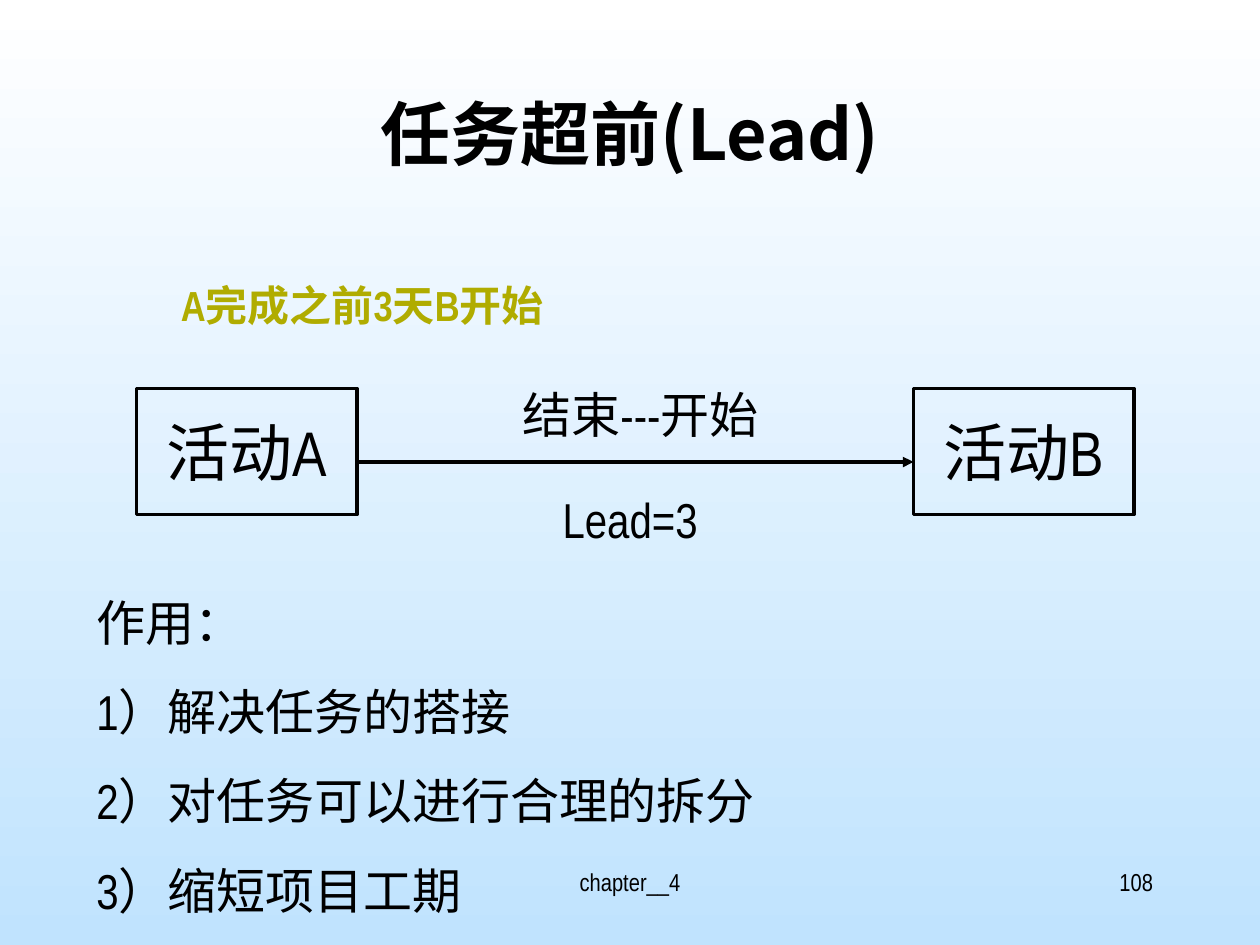
from lxml.etree import SubElement
from pptx import Presentation
from pptx.dml.color import RGBColor
from pptx.enum.shapes import MSO_CONNECTOR as Link, MSO_SHAPE as Shape
from pptx.enum.text import MSO_ANCHOR as Anchor, PP_ALIGN as Align
from pptx.oxml.ns import qn
from pptx.util import Inches, Pt

COLORS = {
    "ink": "000000",
    "accent": "B0AC00",
    "sky_top": "FFFFFF",
    "sky_bottom": "C0E3FE",
}
BODY_FONT = "Arial Narrow"
TITLE_FONT = "Noto Sans CJK SC"
COLUMNS, ROWS = 120, 90


def color(name):
    return RGBColor.from_string(COLORS[name])


def write(frame, text, size=28, font=BODY_FONT, ink="ink", bold=False,
          align=Align.CENTER, anchor=Anchor.TOP, wrap=True, gap=17.5):
    """Fill a text frame, one paragraph per line of text."""
    frame.word_wrap = wrap
    frame.vertical_anchor = anchor
    for index, line in enumerate(text.split("\n")):
        paragraph = frame.add_paragraph() if index else frame.paragraphs[0]
        paragraph.alignment = align
        if index:
            paragraph.space_before = Pt(gap)
        run = paragraph.add_run()
        run.text = line
        run.font.size = Pt(size)
        run.font.bold = bold
        run.font.color.rgb = color(ink)
        run.font.name = font
        # East Asian characters use the same typeface
        SubElement(run.font._element, qn("a:ea"), typeface=font)


class Board:
    """The current slide, its grid and its line style."""

    line_width = Pt(2)

    def __init__(self, deck):
        self.slide = deck.slides.add_slide(deck.slide_layouts[6])
        self.column = deck.slide_width / COLUMNS
        self.row = deck.slide_height / ROWS

    def place(self, left, top, width, height):
        return (round(left * self.column), round(top * self.row),
                round(width * self.column), round(height * self.row))

    def background(self, top, bottom):
        fill = self.slide.background.fill
        fill.gradient()
        fill.gradient_angle = 270
        for stop, name in zip(fill.gradient_stops, (top, bottom)):
            stop.color.rgb = color(name)

    def text(self, area, content, **style):
        box = self.slide.shapes.add_textbox(*self.place(*area))
        write(box.text_frame, content, **style)

    def outline(self, line):
        line.color.rgb = color("ink")
        line.width = self.line_width

    def activity(self, area, name):
        box = self.slide.shapes.add_shape(Shape.RECTANGLE, *self.place(*area))
        box.shadow.inherit = False
        box.fill.background()
        self.outline(box.line)
        write(box.text_frame, name, size=36, anchor=Anchor.MIDDLE, wrap=False)

    def arrow(self, start, end, row):
        ends = self.place(start, row, end, row)
        link = self.slide.shapes.add_connector(Link.STRAIGHT, *ends)
        self.outline(link.line)
        SubElement(link.line._get_or_add_ln(), qn("a:tailEnd"), type="triangle")
        SubElement(link._element.spPr, qn("a:effectLst"))


def main():
    deck = Presentation()
    deck.slide_width, deck.slide_height = Inches(10), Inches(7.5)
    board = Board(deck)
    board.background("sky_top", "sky_bottom")

    # Footer
    board.text((41, 82, 38, 6), "chapter__4", size=14)
    board.text((86, 82, 25, 6), "108", size=14, align=Align.RIGHT)

    # Title
    board.text((9, 8, 102, 15), "任务超前(Lead)", size=40, font=TITLE_FONT, bold=True)

    # Two activities and the dependency between them
    first, second, width = 13, 87, 21
    for left, name in ((first, "活动A"), (second, "活动B")):
        board.activity((left, 37, width, 12), name)
    board.arrow(first + width, second, 44)
    board.text((41, 36, 40, 6.8), "结束---开始")
    board.text((40, 46, 40, 6.8), "Lead=3")
    board.text((7, 26, 55, 6), "A完成之前3天B开始", size=24, ink="accent", bold=True)

    # Purposes of a lead
    board.text((8, 55.8, 82, 41),
               "作用：\n1）解决任务的搭接\n2）对任务可以进行合理的拆分\n3）缩短项目工期",
               align=Align.LEFT)

    deck.save("out.pptx")


if __name__ == "__main__":
    main()
